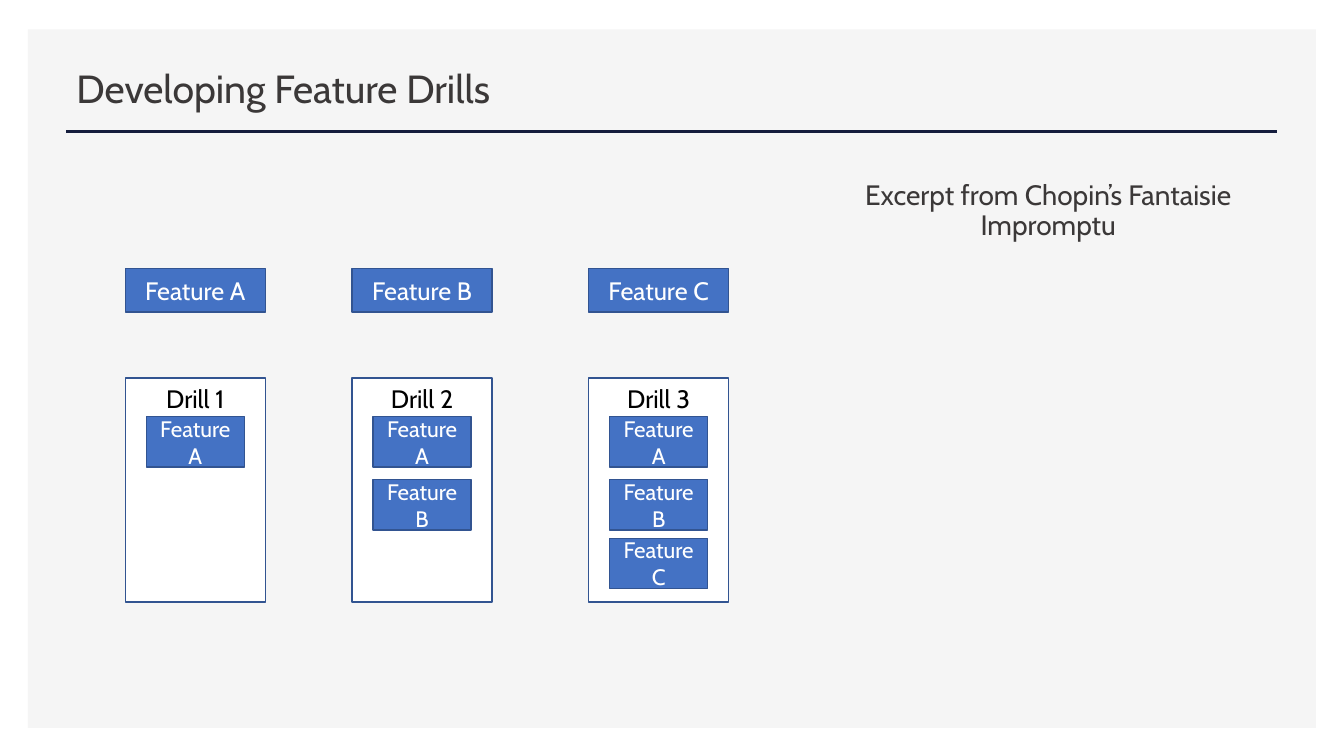
from pptx import Presentation
from pptx.dml.color import RGBColor
from pptx.enum.shapes import MSO_CONNECTOR, MSO_SHAPE
from pptx.enum.text import MSO_ANCHOR, PP_ALIGN
from pptx.oxml.ns import qn
from pptx.util import Pt
from lxml import etree

RECTANGLE, STRAIGHT = MSO_SHAPE.RECTANGLE, MSO_CONNECTOR.STRAIGHT
TOP, MIDDLE = MSO_ANCHOR.TOP, MSO_ANCHOR.MIDDLE
LEFT, CENTER = PP_ALIGN.LEFT, PP_ALIGN.CENTER

COLORS = {
    "panel": "F5F5F5", "rule": "151D3D", "heading": "3B3838",
    "feature": "4472C4", "border": "325491",
    "white": "FFFFFF", "black": "000000",
}


class SlideBuilder:
    font = "Cabin"

    def __init__(self, slide):
        self.slide = slide

    def color(self, name):
        return RGBColor.from_string(COLORS[name])

    def set_text(self, shape, text, size, color, align, anchor):
        frame = shape.text_frame
        frame.word_wrap = True
        frame.vertical_anchor = anchor
        frame.text = text
        paragraph = frame.paragraphs[0]
        paragraph.alignment = align
        font = paragraph.runs[0].font
        font.name, font.size = self.font, Pt(size)
        font.color.rgb = self.color(color)
        return paragraph

    def box(self, x, y, width, height, fill, border=None):
        shape = self.slide.shapes.add_shape(
            RECTANGLE, Pt(x), Pt(y), Pt(width), Pt(height))
        shape.shadow.inherit = False
        shape.fill.solid()
        shape.fill.fore_color.rgb = self.color(fill)
        if border:
            shape.line.color.rgb = self.color(border)
            shape.line.width = Pt(1)
        else:
            shape.line.fill.background()
        return shape

    def feature(self, letter, x, y, width, height, size):
        shape = self.box(x, y, width, height, "feature", "border")
        self.set_text(shape, f"Feature {letter}", size, "white", CENTER, MIDDLE)

    def drill(self, number, x, y, width, height):
        shape = self.box(x, y, width, height, "white", "border")
        self.set_text(shape, f"Drill {number}", 18, "black", CENTER, TOP)

    def text(self, text, x, y, width, height, size, align, anchor):
        shape = self.slide.shapes.add_textbox(
            Pt(x), Pt(y), Pt(width), Pt(height))
        paragraph = self.set_text(shape, text, size, "heading", align, anchor)
        paragraph.line_spacing = 0.9
        return paragraph

    def rule(self, x1, x2, y):
        line = self.slide.shapes.add_connector(
            STRAIGHT, Pt(x1), Pt(y), Pt(x2), Pt(y))
        line.line.color.rgb = self.color("rule")
        line.line.width = Pt(2)
        etree.SubElement(line._element.spPr, qn("a:effectLst"))


deck = Presentation()
deck.slide_width, deck.slide_height = Pt(960), Pt(540)
builder = SlideBuilder(deck.slides.add_slide(deck.slide_layouts[6]))

# Background panel and title
builder.box(20, 21, 920, 499, "panel")
builder.rule(47.5, 912.5, 94)
builder.text("Developing Feature Drills", 47.5, 35.5, 865, 59, 28, LEFT, MIDDLE)

# Each drill adds the next feature to the ones before it
FEATURES = "ABC"
COLUMN_LEFTS = (89.5, 251.5, 420.5)
STEP_TOPS = (297.5, 342.5, 384.5)
COLUMN_WIDTH, STEP_WIDTH = 100, 70
step_inset = (COLUMN_WIDTH - STEP_WIDTH) / 2

for number, (letter, left) in enumerate(zip(FEATURES, COLUMN_LEFTS), start=1):
    builder.feature(letter, left, 192, COLUMN_WIDTH, 31, 18)
    builder.drill(number, left, 270, COLUMN_WIDTH, 160)
    for step, top in zip(FEATURES[:number], STEP_TOPS):
        builder.feature(step, left + step_inset, top, STEP_WIDTH, 36, 16)

# Music excerpt heading
excerpt = builder.text("Excerpt from Chopin’s Fantaisie Impromptu",
                       589, 126, 319.5, 370, 20, CENTER, TOP)
excerpt.space_before = Pt(10)

deck.save("out.pptx")
